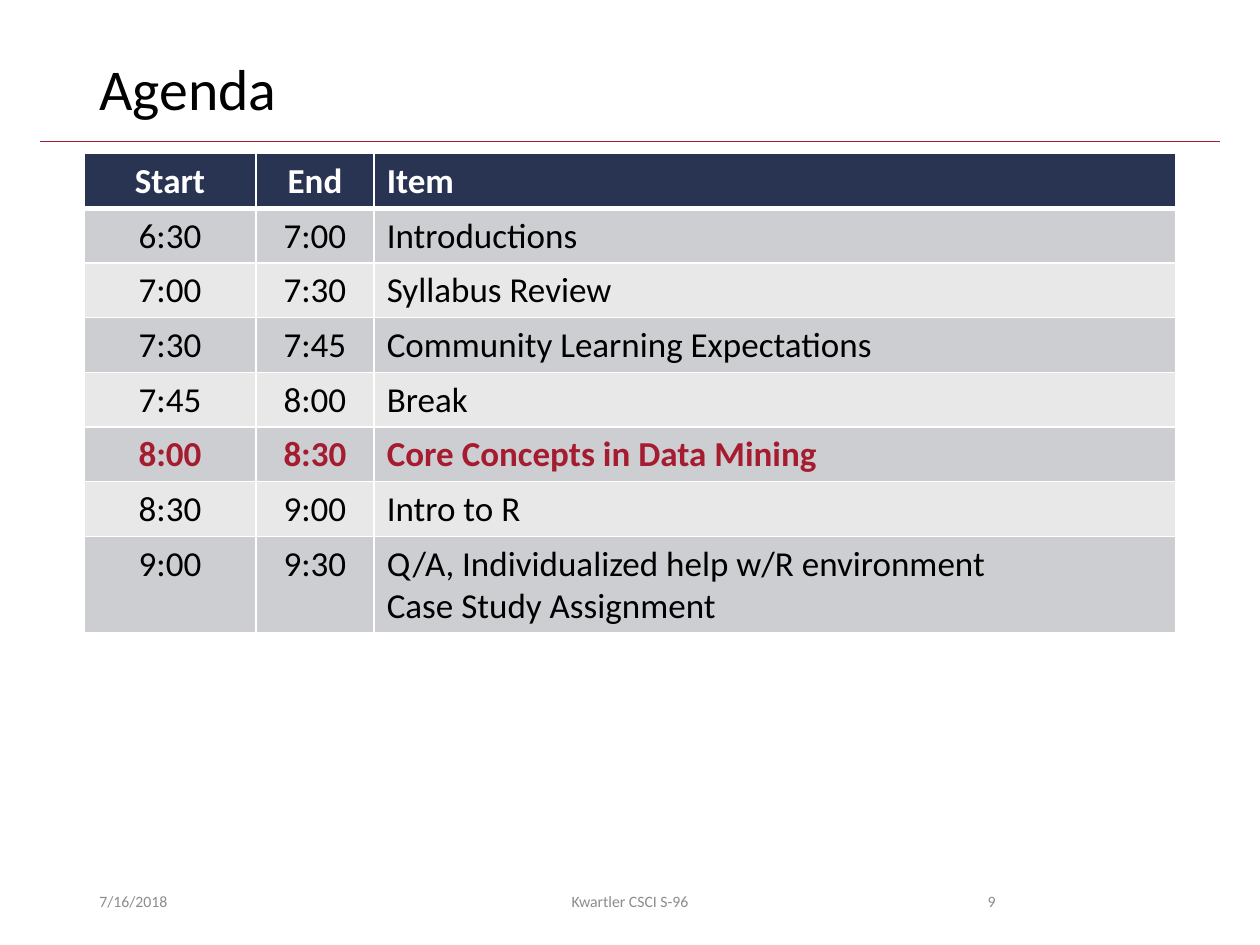
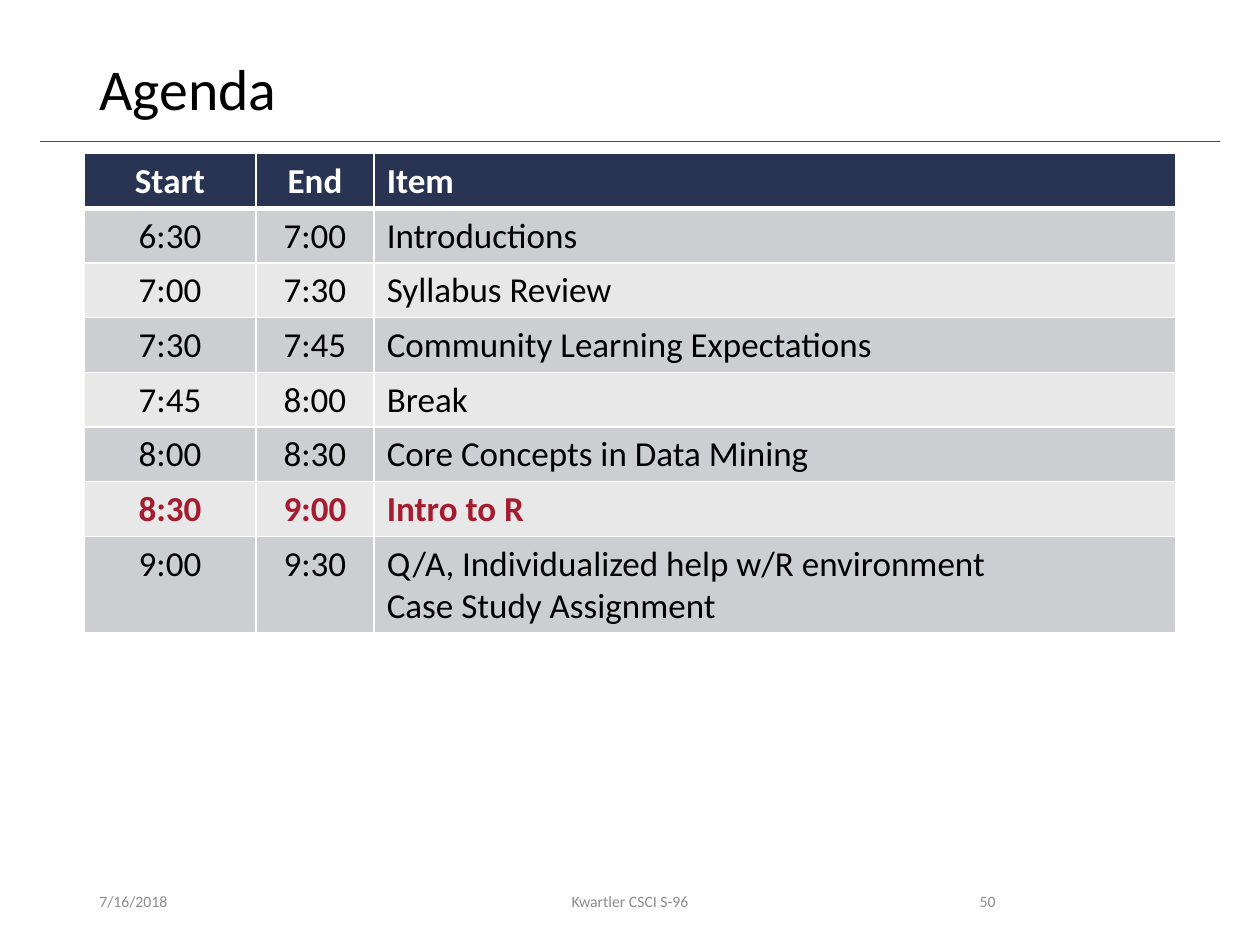
from lxml import etree
from pptx import Presentation
from pptx.dml.color import RGBColor
from pptx.enum import shapes, text
from pptx.oxml import ns
from pptx.util import Inches, Pt

WIDTH, HEIGHT = 10, 7.5
FONT = "Calibri"
CRIMSON, NAVY, WHITE, BLACK, GREY = "A51C30", "293352", "FFFFFF", "000000", "8C8C8C"
BANDS = ("CDCED1", "E8E8E9")
LEFT, CENTER, RIGHT = text.PP_ALIGN.LEFT, text.PP_ALIGN.CENTER, text.PP_ALIGN.RIGHT

TITLE = {"size": Pt(33), "color": BLACK}
FOOTER = {"size": Pt(9), "color": GREY}
HEADER_CELL = {"size": Pt(20), "bold": True, "color": WHITE}
PLAIN_CELL = {"size": Pt(20), "bold": False, "color": BLACK}
CURRENT_CELL = {"size": Pt(20), "bold": True, "color": CRIMSON}

COLUMNS = ((1.36, CENTER), (0.94, CENTER), (6.36, LEFT))
ROW_HEIGHT = 0.41
AGENDA = (
    ("Start", "End", "Item"),
    ("6:30", "7:00", "Introductions"),
    ("7:00", "7:30", "Syllabus Review"),
    ("7:30", "7:45", "Community Learning Expectations"),
    ("7:45", "8:00", "Break"),
    ("8:00", "8:30", "Core Concepts in Data Mining"),
    ("8:30", "9:00", "Intro to R"),
    ("9:00", "9:30", "Q/A, Individualized help w/R environment\nCase Study Assignment"),
)


def rgb(value):
    """Turn a hex string into a colour."""
    return RGBColor.from_string(value)


def write(tf, words, style, align=LEFT, spacing=None):
    """Fill a text frame with one styled paragraph per line."""
    tf.text = words
    for p in tf.paragraphs:
        p.alignment = align
        p.line_spacing = spacing
        for r in p.runs:
            r.font.name = FONT
            for name, value in style.items():
                if name == "color":
                    r.font.color.rgb = rgb(value)
                else:
                    setattr(r.font, name, value)


def add_text(s, box, words, style, align=LEFT, spacing=None):
    """Add a wrapped text box centred vertically."""
    tf = s.shapes.add_textbox(*map(Inches, box)).text_frame
    tf.word_wrap = True
    tf.vertical_anchor = text.MSO_ANCHOR.MIDDLE
    write(tf, words, style, align, spacing)


def add_rule(s, y, margin):
    """Draw the thin line below the title."""
    ends = map(Inches, (margin, y, WIDTH - margin, y))
    sp = s.shapes.add_connector(shapes.MSO_CONNECTOR.STRAIGHT, *ends)
    sp.line.color.rgb = rgb(CRIMSON)
    sp.line.width = Pt(0.5)
    etree.SubElement(sp.element.spPr, ns.qn("a:effectLst"))


def set_borders(cell, widths):
    """Give a cell white borders of the given widths in points."""
    props = cell._tc.get_or_add_tcPr()
    for place, (side, width) in enumerate(widths.items()):
        ln = etree.Element(ns.qn(f"a:ln{side}"), w=str(Pt(width)))
        fill = etree.SubElement(ln, ns.qn("a:solidFill"))
        etree.SubElement(fill, ns.qn("a:srgbClr"), val=WHITE)
        props.insert(place, ln)


def add_agenda(s, current):
    """Add the agenda table with the current item highlighted."""
    size = (sum(w for w, _ in COLUMNS), ROW_HEIGHT * len(AGENDA))
    box = map(Inches, ((WIDTH - size[0]) / 2, 1.22, *size))
    table = s.shapes.add_table(len(AGENDA), len(COLUMNS), *box).table
    for column, (width, _) in zip(table.columns, COLUMNS):
        column.width = Inches(width)
    for i, row in enumerate(AGENDA):
        table.rows[i].height = Inches(ROW_HEIGHT)
        header = i == 0
        style = HEADER_CELL if header else CURRENT_CELL if row[2] == current else PLAIN_CELL
        for j, (words, (_, align)) in enumerate(zip(row, COLUMNS)):
            cell = table.cell(i, j)
            cell.fill.solid()
            cell.fill.fore_color.rgb = rgb(NAVY if header else BANDS[(i - 1) % 2])
            set_borders(cell, {"L": 1, "R": 1, "T": 3 if i == 1 else 1, "B": 3 if header else 1})
            write(cell.text_frame, words, style, align)


def add_footer(s, number):
    """Add the date, course and slide number."""
    for left, width, words, align in (
        (0.69, 2.25, "7/16/2018", LEFT),
        (3.31, 3.38, "Kwartler CSCI S-96", CENTER),
        (7.06, 0.94, str(number), RIGHT),
    ):
        add_text(s, (left, 6.95, width, 0.4), words, FOOTER, align)


def add_agenda_slide(prs, number, current):
    """Build one agenda slide."""
    s = prs.slides.add_slide(prs.slide_layouts[6])
    add_rule(s, 1.12, 0.32)
    add_text(s, (0.69, 0.4, 8.62, 0.65), "Agenda", TITLE, spacing=0.9)
    add_agenda(s, current)
    add_footer(s, number)


def main():
    """Build and save the presentation."""
    prs = Presentation()
    prs.slide_width, prs.slide_height = Inches(WIDTH), Inches(HEIGHT)
    add_agenda_slide(prs, 9, "Core Concepts in Data Mining")
    add_agenda_slide(prs, 50, "Intro to R")
    prs.save("out.pptx")


if __name__ == "__main__":
    main()
